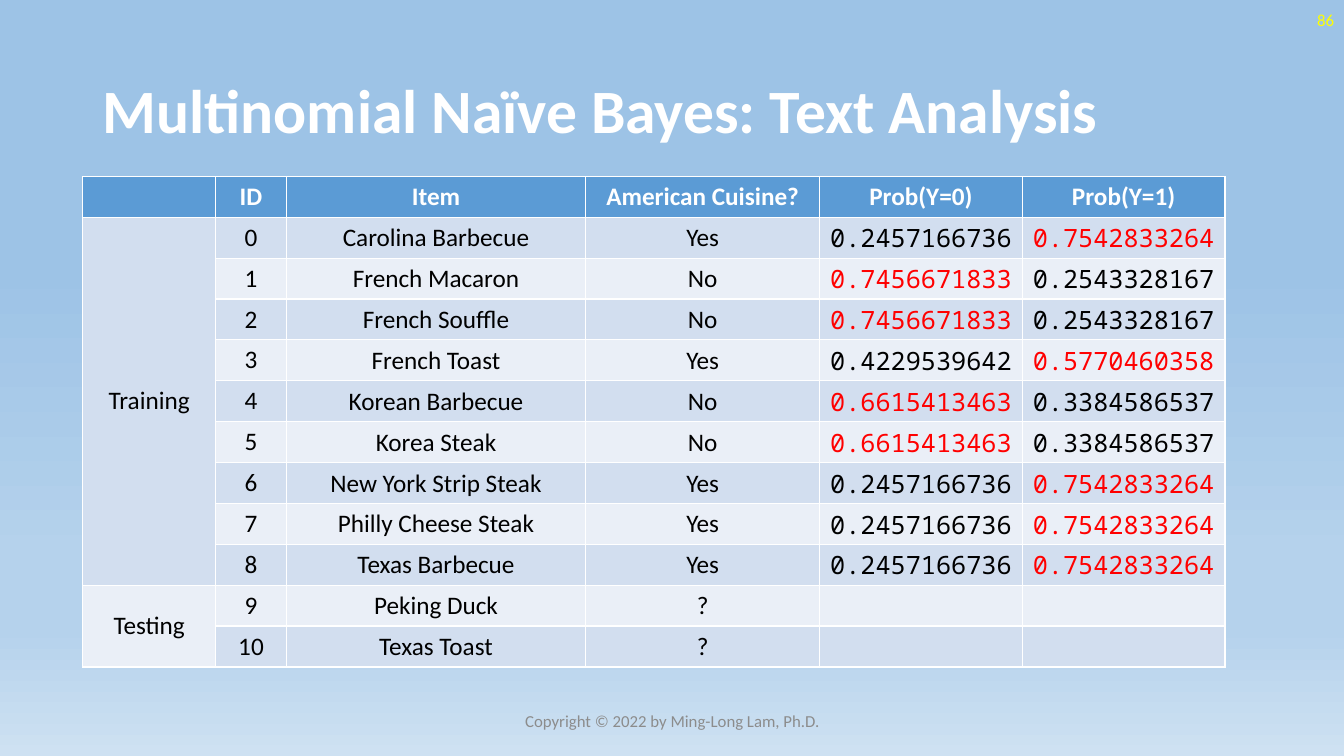
from lxml.etree import SubElement
from pptx import Presentation
from pptx.dml.color import RGBColor
from pptx.enum.text import MSO_ANCHOR as Anchor, MSO_AUTO_SIZE as AutoSize, PP_ALIGN as Align
from pptx.oxml.ns import qn
from pptx.util import Inches, Pt

WIDTH, HEIGHT = 13.33, 7.5
SKY = [(35, "9DC3E6"), (74, "B5D2EC"), (83, "B5D2EC"), (100, "CEE1F2")]
HEADER_FILL, BANDS = "5B9BD5", ("EAEFF7", "D2DEEF")
COLUMNS = [1.32, 0.7, 2.97, 2.32, 2.01, 2.01]
ROW_HEIGHT = 4.87 / 12
FIRST_PROB = 4
HEADINGS = ["", "ID", "Item", "American Cuisine?", "Prob(Y=0)", "Prob(Y=1)"]
GROUPS = [("Training", 1, 9), ("Testing", 10, 11)]
DISHES = [
    ("Carolina Barbecue", "Yes", "0.2457166736", "0.7542833264"),
    ("French Macaron", "No", "0.7456671833", "0.2543328167"),
    ("French Souffle", "No", "0.7456671833", "0.2543328167"),
    ("French Toast", "Yes", "0.4229539642", "0.5770460358"),
    ("Korean Barbecue", "No", "0.6615413463", "0.3384586537"),
    ("Korea Steak", "No", "0.6615413463", "0.3384586537"),
    ("New York Strip Steak", "Yes", "0.2457166736", "0.7542833264"),
    ("Philly Cheese Steak", "Yes", "0.2457166736", "0.7542833264"),
    ("Texas Barbecue", "Yes", "0.2457166736", "0.7542833264"),
    ("Peking Duck", "?", "", ""),
    ("Texas Toast", "?", "", ""),
]


def color(value):
    """Turn a hex string into a colour."""
    return RGBColor.from_string(value)


def write(frame, text, size, ink, align, bold=False, face="Calibri"):
    """Fill a text frame with one formatted paragraph."""
    line = frame.paragraphs[0]
    line.text = text
    line.alignment = align
    font = line.font
    font.name, font.size, font.bold = face, Pt(size), bold
    font.color.rgb = color(ink)
    return line


def paint_background(slide):
    """Lay the sky gradient from top to bottom."""
    fill = slide.background.fill
    fill.gradient()
    fill.gradient_angle = 270
    stops = slide.background._cSld.find(".//" + qn("a:gsLst"))
    for stop in list(stops):
        stops.remove(stop)
    for share, tone in SKY:
        stop = SubElement(stops, qn("a:gs"), pos=str(share * 1000))
        SubElement(stop, qn("a:srgbClr"), val=tone)


def add_title(slide, text):
    """Place the slide title."""
    title = slide.shapes.title
    title.left, title.top = Inches(0.92), Inches(0.4)
    title.width, title.height = Inches(11.5), Inches(1.45)
    frame = title.text_frame
    frame.word_wrap, frame.auto_size = True, AutoSize.NONE
    frame.vertical_anchor = Anchor.MIDDLE
    write(frame, text, 44, "FFFFFF", Align.LEFT, bold=True).line_spacing = 0.9


def add_label(slide, text, left, top, width, ink, align):
    """Place a small line of text."""
    box = slide.shapes.add_textbox(Inches(left), Inches(top), Inches(width), Inches(0.4))
    frame = box.text_frame
    frame.word_wrap = True
    frame.vertical_anchor = Anchor.MIDDLE
    write(frame, text, 12, ink, align)


def fill_cell(cell, text, fill, ink="000000", bold=False, face="Calibri"):
    """Write and colour one table cell."""
    cell.fill.solid()
    cell.fill.fore_color.rgb = color(fill)
    cell.vertical_anchor = Anchor.MIDDLE
    write(cell.text_frame, text, 18, ink, Align.CENTER, bold, face)


def add_dishes(slide):
    """Build the table of dishes and predicted probabilities."""
    table = slide.shapes.add_table(
        len(DISHES) + 1, len(COLUMNS), Inches(0.82), Inches(1.75),
        Inches(sum(COLUMNS)), Inches(ROW_HEIGHT * (len(DISHES) + 1))).table
    for column, width in zip(table.columns, COLUMNS):
        column.width = Inches(width)
    for col, heading in enumerate(HEADINGS):
        fill_cell(table.cell(0, col), heading, HEADER_FILL, "FFFFFF", bold=True)
    for row, dish in enumerate(DISHES, 1):
        for col, text in enumerate((str(row - 1), *dish), 1):
            cell = table.cell(row, col)
            is_prob = col >= FIRST_PROB and text != ""
            ink = "FF0000" if is_prob and float(text) > 0.5 else "000000"
            face = "Noto Sans Mono" if is_prob else "Calibri"
            fill_cell(cell, text, BANDS[row % 2], ink, face=face)
            if col > 1:
                cell.margin_left = cell.margin_right = cell.margin_top = Inches(0.01)
                cell.margin_bottom = 0
    for group, first, last in GROUPS:
        cell = table.cell(first, 0)
        cell.merge(table.cell(last, 0))
        fill_cell(cell, group, BANDS[first % 2])


def main():
    """Build and save the slide."""
    deck = Presentation()
    deck.slide_width, deck.slide_height = Inches(WIDTH), Inches(HEIGHT)
    slide = deck.slides.add_slide(deck.slide_layouts[5])
    paint_background(slide)
    add_label(slide, "Copyright © 2022 by Ming-Long Lam, Ph.D.", 4.42, 6.95, 4.5,
              "8C8C8C", Align.CENTER)
    add_title(slide, "Multinomial Naïve Bayes: Text Analysis")
    add_label(slide, "86", WIDTH - 3, 0, 3, "FFFF00", Align.RIGHT)
    add_dishes(slide)
    deck.save("out.pptx")


if __name__ == "__main__":
    main()
